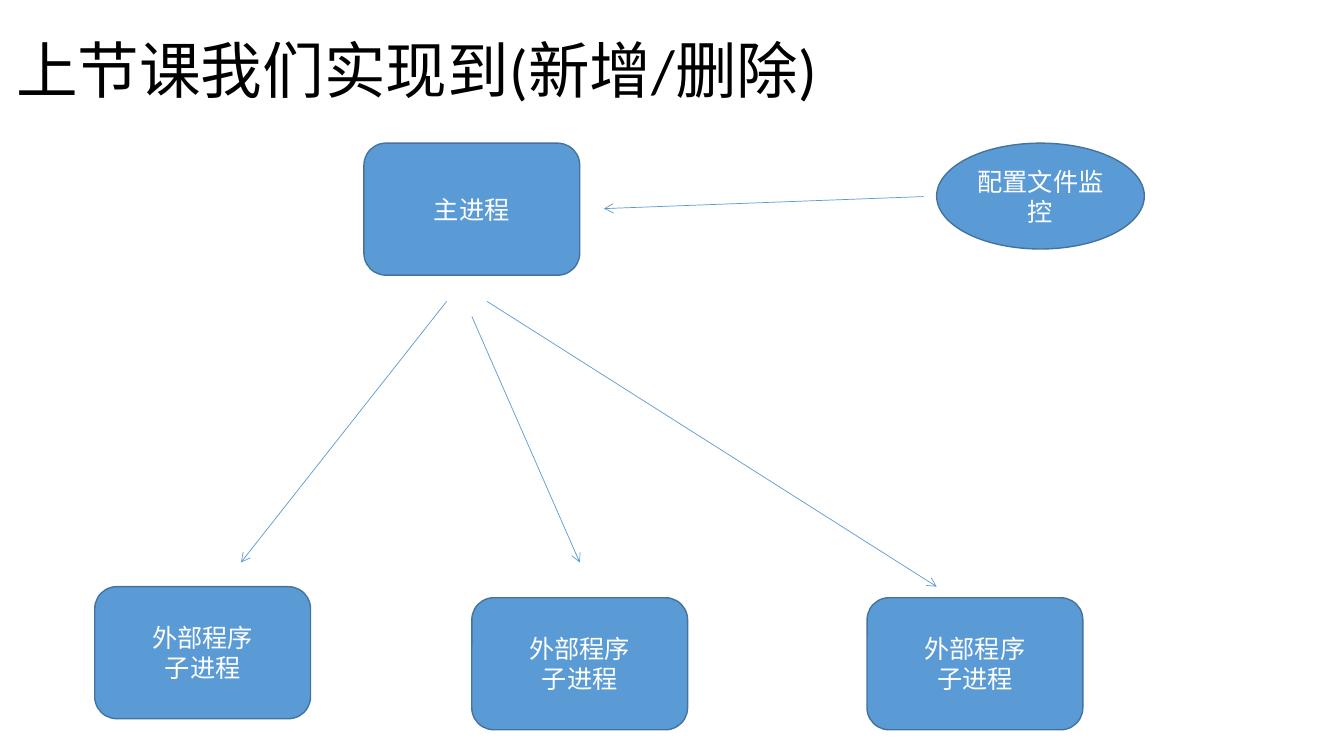
from dataclasses import dataclass

from lxml import etree
from pptx import Presentation
from pptx import util as u
from pptx.dml.color import RGBColor
from pptx.enum import shapes, text
from pptx.oxml import ns


@dataclass(frozen=True)
class Theme:
    font: str = "Calibri"
    ink: RGBColor = RGBColor(0x00, 0x00, 0x00)
    paper: RGBColor = RGBColor(0xFF, 0xFF, 0xFF)
    fill: RGBColor = RGBColor(0x5B, 0x9B, 0xD5)
    edge: RGBColor = RGBColor(0x43, 0x73, 0x9E)
    title: int = 44
    body: int = 18
    border: float = 1
    wire: float = 0.5


@dataclass(frozen=True)
class Node:
    left: float
    top: float
    lines: tuple[str, ...]
    width: float = 2.14
    height: float = 1.31
    kind: shapes.MSO_SHAPE = shapes.MSO_SHAPE.ROUNDED_RECTANGLE


@dataclass(frozen=True)
class Arrow:
    start: tuple[float, float]
    end: tuple[float, float]


THEME = Theme()
TITLE = "上节课我们实现到(新增/删除)"
CHILD = ("外部程序", "子进程")

NODES = [
    Node(3.61, 1.42, ("主进程",)),
    Node(0.94, 5.82, CHILD),
    Node(4.68, 5.93, CHILD),
    Node(8.6, 5.93, CHILD),
    Node(9.29, 1.42, ("配置文件监控",), 2.06, 1.05, shapes.MSO_SHAPE.OVAL),
]
ARROWS = [
    Arrow((9.16, 1.95), (5.99, 2.07)),
    Arrow((4.43, 2.99), (2.39, 5.58)),
    Arrow((4.68, 3.14), (5.75, 5.58)),
    Arrow((4.83, 2.99), (9.29, 5.82)),
]


def style(para, size: int, color: RGBColor, align: text.PP_ALIGN) -> None:
    para.alignment = align
    para.font.name = THEME.font
    para.font.size = u.Pt(size)
    para.font.color.rgb = color


def add_title(slide) -> None:
    title = slide.shapes.title
    title.left, title.top = u.Inches(0.06), u.Inches(0)
    title.width, title.height = u.Inches(11.5), u.Inches(1.45)
    frame = title.text_frame
    frame.text = TITLE
    frame.word_wrap = True
    frame.auto_size = text.MSO_AUTO_SIZE.NONE
    frame.vertical_anchor = text.MSO_ANCHOR.MIDDLE
    para = frame.paragraphs[0]
    para.line_spacing = 0.9
    style(para, THEME.title, THEME.ink, text.PP_ALIGN.JUSTIFY)


def add_node(slide, node: Node) -> None:
    box = (node.left, node.top, node.width, node.height)
    shape = slide.shapes.add_shape(node.kind, *map(u.Inches, box))
    shape.shadow.inherit = False
    shape.fill.solid()
    shape.fill.fore_color.rgb = THEME.fill
    shape.line.color.rgb = THEME.edge
    shape.line.width = u.Pt(THEME.border)
    frame = shape.text_frame
    frame.word_wrap = True
    frame.vertical_anchor = text.MSO_ANCHOR.MIDDLE
    frame.text = "\n".join(node.lines)
    for para in frame.paragraphs:
        style(para, THEME.body, THEME.paper, text.PP_ALIGN.CENTER)


def add_arrow(slide, arrow: Arrow) -> None:
    ends = map(u.Inches, arrow.start + arrow.end)
    wire = slide.shapes.add_connector(shapes.MSO_CONNECTOR.STRAIGHT, *ends)
    wire.line.color.rgb = THEME.fill
    wire.line.width = u.Pt(THEME.wire)
    # Open arrowhead, no shadow
    etree.SubElement(wire.line._get_or_add_ln(), ns.qn("a:tailEnd"), type="arrow")
    etree.SubElement(wire._element.spPr, ns.qn("a:effectLst"))


def main() -> None:
    deck = Presentation()
    deck.slide_width, deck.slide_height = u.Inches(13.33), u.Inches(7.5)
    # Title-only layout
    slide = deck.slides.add_slide(deck.slide_layouts[5])
    add_title(slide)
    # Processes and the links between them
    for node in NODES:
        add_node(slide, node)
    for arrow in ARROWS:
        add_arrow(slide, arrow)
    deck.save("out.pptx")


if __name__ == "__main__":
    main()
